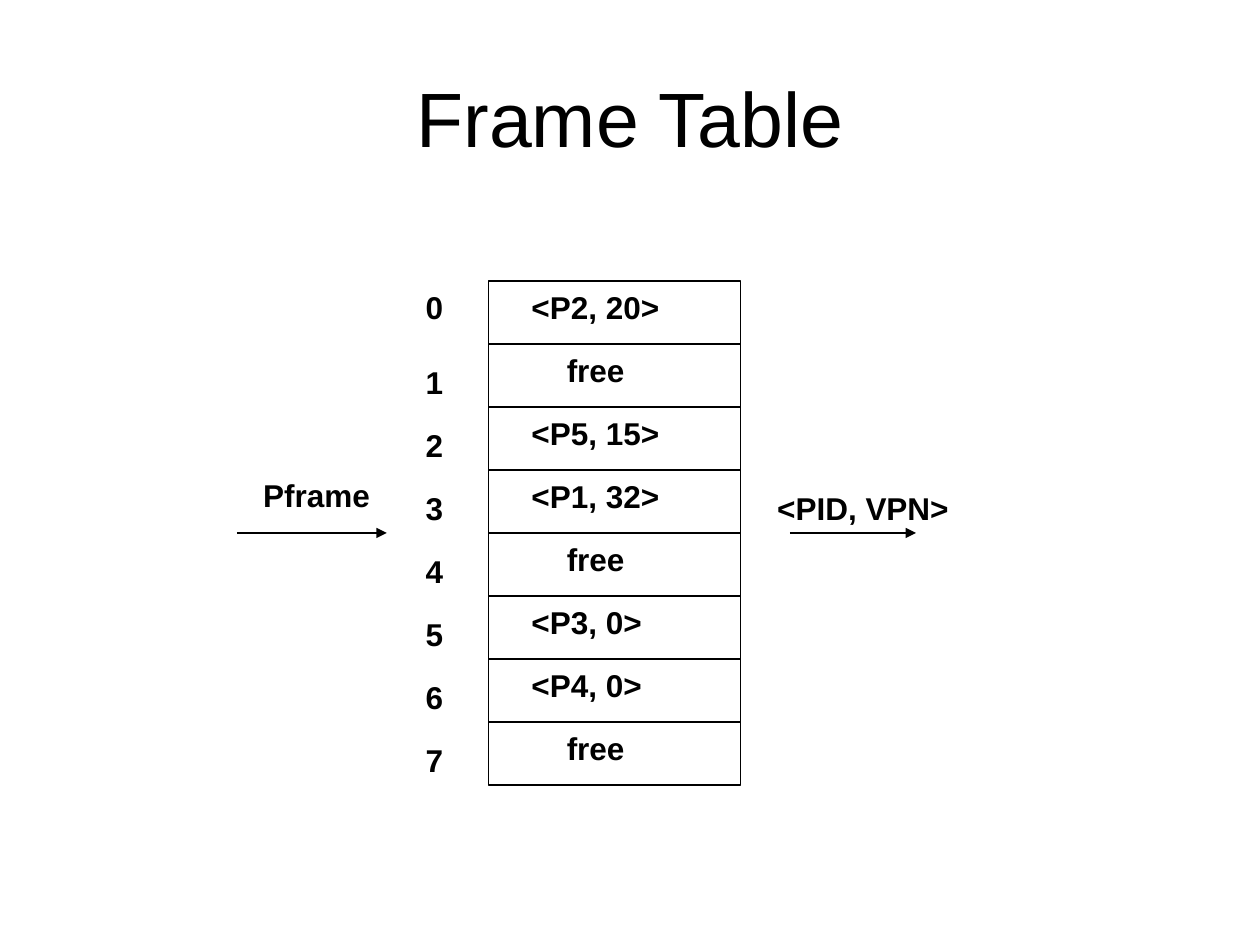
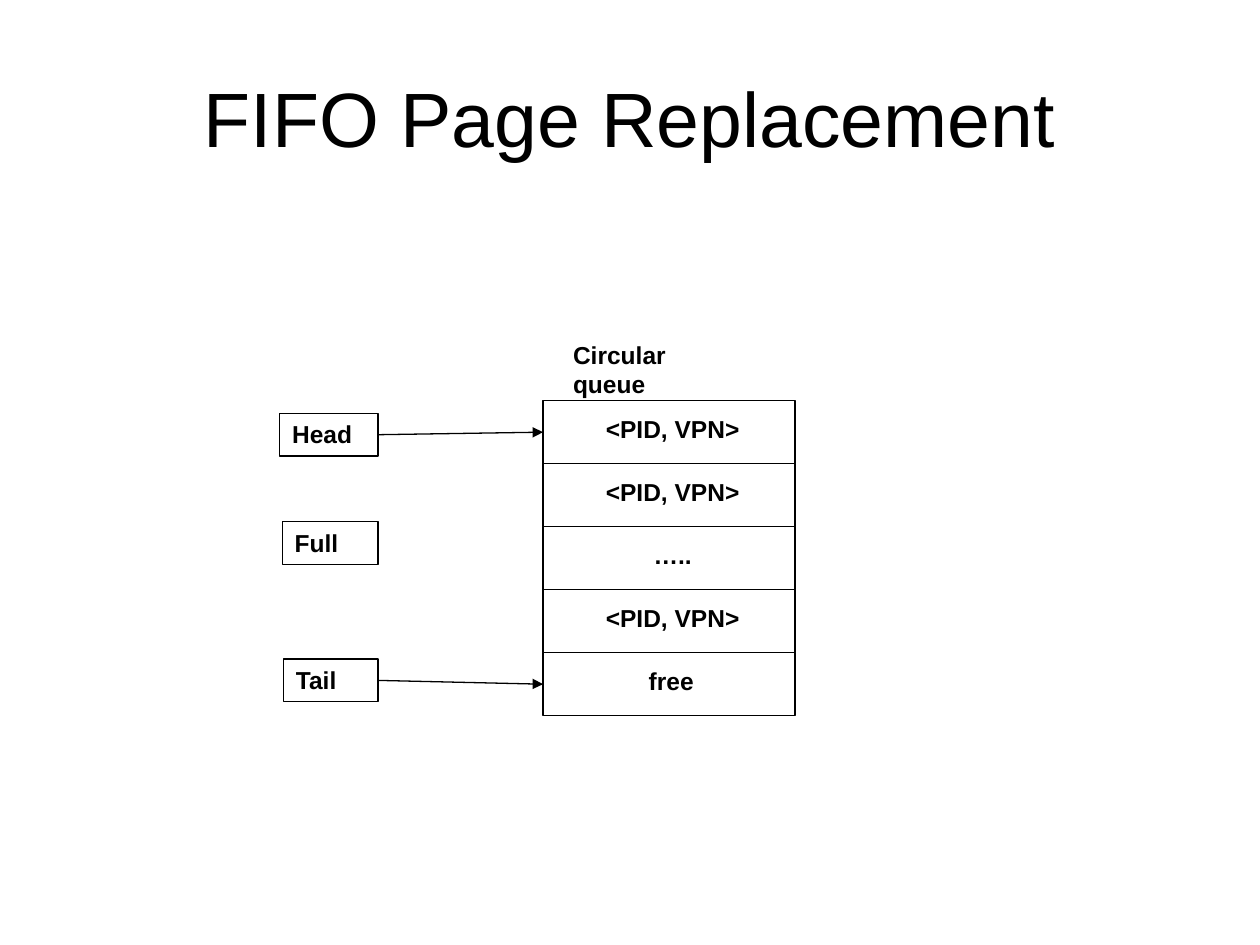
from dataclasses import dataclass

from lxml.etree import SubElement
from pptx import Presentation
from pptx.dml.color import RGBColor
from pptx.enum.shapes import MSO_CONNECTOR, MSO_SHAPE
from pptx.enum.text import MSO_ANCHOR, MSO_AUTO_SIZE, PP_ALIGN
from pptx.oxml.ns import qn
from pptx.util import Inches, Pt


@dataclass(frozen=True)
class Theme:
    """Hold the colours, font and sizes that the slides share."""
    ink: RGBColor = RGBColor(0, 0, 0)
    font: str = "Arial"
    title: int = 44
    large: int = 18
    small: int = 14
    line: float = 0.75
    cell_w: float = 2
    cell_h: float = 0.5


THEME = Theme()


def add_run(para, text, size, bold=True):
    """Add one styled run to a paragraph."""
    run = para.add_run()
    run.text = text
    font = run.font
    font.name, font.size, font.bold = THEME.font, Pt(size), bold
    font.color.rgb = THEME.ink


def add_page(deck, title):
    """Add a slide with a centred title."""
    page = deck.slides.add_slide(deck.slide_layouts[5])
    head = page.shapes.title
    head.left, head.top = Inches(0.5), Inches(0.3)
    head.width, head.height = Inches(9), Inches(1.25)
    frame = head.text_frame
    frame.auto_size = MSO_AUTO_SIZE.NONE
    frame.vertical_anchor = MSO_ANCHOR.MIDDLE
    para = frame.paragraphs[0]
    para.alignment = PP_ALIGN.CENTER
    add_run(para, title, THEME.title, False)
    return page


def add_box(page, x, y, w, h):
    """Add an outlined rectangle without fill."""
    box = page.shapes.add_shape(
        MSO_SHAPE.RECTANGLE, Inches(x), Inches(y), Inches(w), Inches(h))
    box.shadow.inherit = False
    box.fill.background()
    box.line.color.rgb = THEME.ink
    box.line.width = Pt(THEME.line)
    return box


def fill_text(shape, text, size, wrap=False, indent=0):
    """Write left-aligned bold text into a shape."""
    frame = shape.text_frame
    frame.word_wrap = wrap
    frame.auto_size = MSO_AUTO_SIZE.SHAPE_TO_FIT_TEXT
    frame.vertical_anchor = MSO_ANCHOR.TOP
    para = frame.paragraphs[0]
    para.alignment = PP_ALIGN.LEFT
    if indent:
        props = para._p.get_or_add_pPr()
        props.set("marL", str(Inches(indent)))
        props.set("indent", "0")
    add_run(para, text, size)


def add_label(page, text, x, y, w, size, wrap=False, indent=0):
    """Add a text box one line high."""
    high = 0.4 if size == THEME.large else 0.34
    box = page.shapes.add_textbox(
        Inches(x), Inches(y), Inches(w), Inches(high))
    fill_text(box, text, size, wrap, indent)


def add_arrow(page, start=(0, 0), end=(0, 0), joins=None):
    """Add an arrow between two points or from one box to another."""
    arrow = page.shapes.add_connector(
        MSO_CONNECTOR.STRAIGHT, *map(Inches, start + end))
    if joins:
        arrow.begin_connect(joins[0], 3)
        arrow.end_connect(joins[1], 1)
    arrow.line.color.rgb = THEME.ink
    arrow.line.width = Pt(THEME.line)
    SubElement(arrow.line._get_or_add_ln(), qn("a:tailEnd"), type="triangle")
    SubElement(arrow._element.spPr, qn("a:effectLst"))


def add_stack(page, x, y, count):
    """Add a column of equal cells."""
    return [add_box(page, x, y + row * THEME.cell_h,
                    THEME.cell_w, THEME.cell_h) for row in range(count)]


def frame_page(deck):
    """Build the frame table slide."""
    page = add_page(deck, "Frame Table")
    size = THEME.large
    rows = ["<P2, 20>", "free", "<P5, 15>", "<P1, 32>",
            "free", "<P3, 0>", "<P4, 0>", "free"]
    add_stack(page, 3.88, 2.23, len(rows))
    for num, text in enumerate(rows):
        step = num * THEME.cell_h
        indent = 0.42 if text == "free" else 0.14
        add_label(page, text, 3.98, 2.24 + step, 1.8, size, True, indent)
        top = 2.33 + step if num else 2.24
        add_label(page, str(num), 3.28, top, 0.48, size)
    add_label(page, "<PID, VPN>", 6.07, 3.83, 1.8, size, True)
    add_label(page, "Pframe", 1.99, 3.73, 1.18, size)
    for left, right in [(1.88, 3.07), (6.27, 7.27)]:
        add_arrow(page, (left, 4.23), (right, 4.23))


def queue_page(deck):
    """Build the page replacement slide."""
    page = add_page(deck, "FIFO Page Replacement")
    size = THEME.small
    entry = ("<PID, VPN>", 4.71, 1.26, 0)
    rows = [entry, entry, ("…..", 4.71, 1.37, 0.38), entry,
            ("free", 5, 0.77, 0.05)]
    cells = add_stack(page, 4.31, 3.18, len(rows))
    for num, (text, x, wide, indent) in enumerate(rows):
        top = 3.24 + num * THEME.cell_h
        add_label(page, text, x, top, wide, size, indent=indent)
    add_label(page, "Circular queue", 4.45, 2.65, 1.56, size)
    marks = [("Head", 2.22, 3.28, cells[0]), ("Full", 2.24, 4.14, None),
             ("Tail", 2.25, 5.23, cells[-1])]
    for text, x, y, cell in marks:
        box = add_box(page, x, y, 3 - x, 0.34)
        fill_text(box, text, size)
        if cell:
            add_arrow(page, joins=(box, cell))


def main():
    """Build and save the deck."""
    deck = Presentation()
    deck.slide_width, deck.slide_height = Inches(10), Inches(7.5)
    frame_page(deck)
    queue_page(deck)
    deck.save("out.pptx")


if __name__ == "__main__":
    main()
